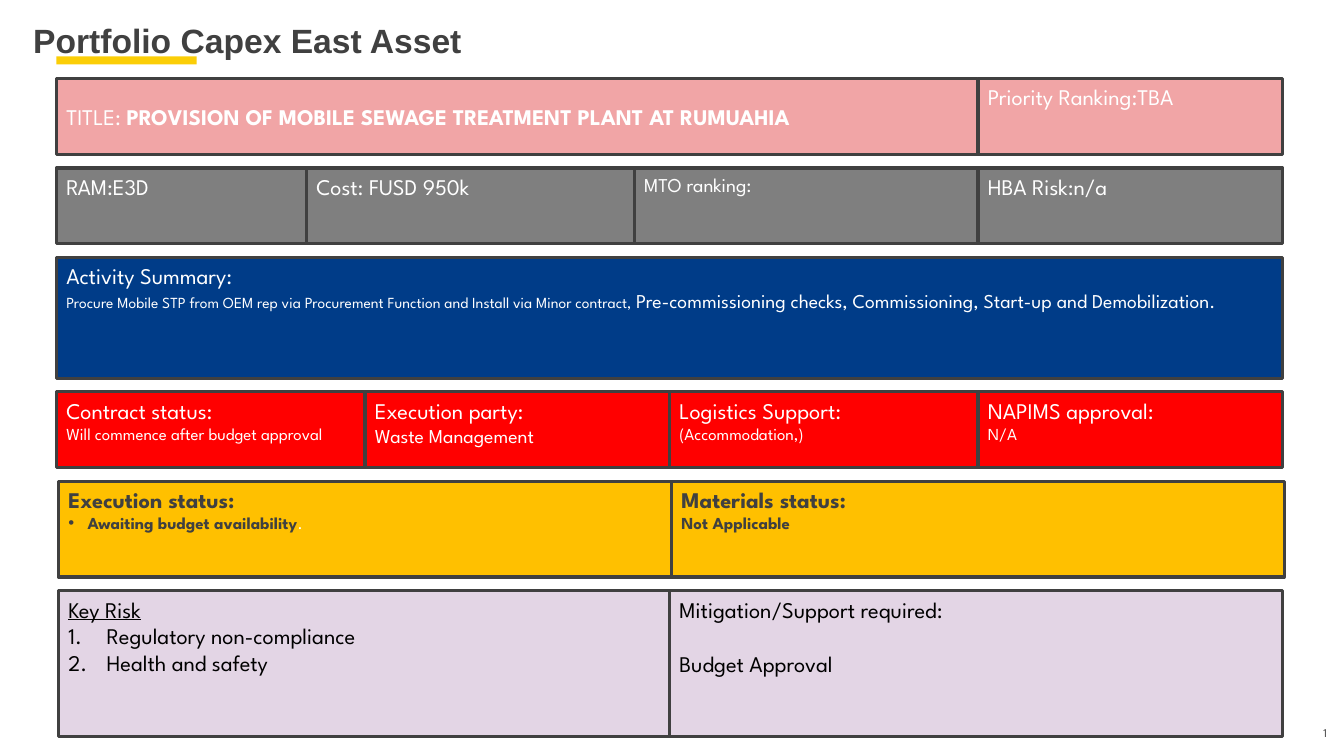
from pptx import Presentation
from pptx.dml.color import RGBColor
from pptx.enum.shapes import MSO_SHAPE
from pptx.enum.text import MSO_ANCHOR, PP_ALIGN
from pptx.util import Inches, Pt
from lxml.etree import SubElement
from pptx.oxml.ns import qn

COLORS = {
    "dark": "404040", "white": "FFFFFF", "black": "000000", "accent": "FBCE07",
    "pink": "F1A5A6", "grey": "7F7F7F", "blue": "003C88", "red": "FF0000",
    "amber": "FFC000", "lilac": "E3D5E5",
}
BODY_FONT = "League Spartan"
LEFT, RIGHT, MIDDLE, LAST = 0.56, 12.72, 6.64, 9.7
INSET = 0.02
TOP, BOTTOM = 0.78, 7.31


def rgb(name):
    return RGBColor.from_string(COLORS[name])


def run(text, size=16, **style):
    return dict(text=text, size=size, **style)


def para(*runs, **layout):
    return dict(runs=runs, **layout)


def heading(text, **style):
    return para(run(text, **style))


def add_bullet(p, kind, indent):
    pPr = p._p.get_or_add_pPr()
    pPr.set("marL", str(Inches(indent)))
    pPr.set("indent", str(-Inches(indent)))
    if kind == "number":
        SubElement(pPr, qn("a:buFont"), typeface="+mj-lt")
        SubElement(pPr, qn("a:buAutoNum"), type="arabicPeriod")
    else:
        SubElement(pPr, qn("a:buFont"), typeface="Arial")
        SubElement(pPr, qn("a:buChar"), char=kind)


def write(tf, paragraphs, color, bold=False, font=BODY_FONT, align=PP_ALIGN.LEFT):
    for i, item in enumerate(paragraphs):
        p = tf.paragraphs[0] if i == 0 else tf.add_paragraph()
        p.alignment = align
        if "before" in item:
            p.space_before = Pt(item["before"])
        if "bullet" in item:
            add_bullet(p, item["bullet"], item["indent"])
        for part in item["runs"]:
            r = p.add_run()
            r.text = part["text"]
            r.font.name = font
            r.font.size = Pt(part["size"])
            r.font.bold = part.get("bold", bold)
            r.font.underline = part.get("underline", False)
            r.font.color.rgb = rgb(part.get("color", color))


def add_box(slide, left, top, width, height, fill, outline=None):
    sp = slide.shapes.add_shape(MSO_SHAPE.RECTANGLE, Inches(left), Inches(top),
                                Inches(width), Inches(height))
    sp.shadow.inherit = False
    sp.fill.solid()
    sp.fill.fore_color.rgb = rgb(fill)
    if outline:
        sp.line.color.rgb = rgb(outline)
        sp.line.width = Pt(2.25)
    else:
        sp.line.fill.background()
    return sp


def add_label(slide, left, top, width, height, text, size, wrap=True, **style):
    tb = slide.shapes.add_textbox(Inches(left), Inches(top), Inches(width), Inches(height))
    tf = tb.text_frame
    tf.word_wrap = wrap
    tf.margin_left = tf.margin_top = tf.margin_right = tf.margin_bottom = 0
    write(tf, [heading(text, size=size)], "dark", **style)


def add_row(slide, top, height, fill, color, edges, cells, bold=False, middle=()):
    for i, (left, right, paragraphs) in enumerate(zip(edges, edges[1:], cells)):
        sp = add_box(slide, left, top, right - left, height, fill, "dark")
        tf = sp.text_frame
        tf.word_wrap = True
        tf.vertical_anchor = MSO_ANCHOR.MIDDLE if i in middle else MSO_ANCHOR.TOP
        write(tf, paragraphs, color, bold)


ROWS = [
    dict(height=0.75, fill="pink", color="white", edges=[LEFT, LAST, RIGHT], middle=[0], cells=[
        [para(run("TITLE: "),
              run("PROVISION OF MOBILE SEWAGE TREATMENT PLANT AT RUMUAHIA", bold=True))],
        [heading("Priority Ranking:TBA")],
    ]),
    dict(height=0.75, fill="grey", color="white", edges=[LEFT, 3.04, 6.29, LAST, RIGHT], cells=[
        [heading("RAM:E3D")],
        [heading("Cost: FUSD 950k")],
        [heading("MTO ranking:", size=14)],
        [heading("HBA Risk:n/a")],
    ]),
    dict(height=1.2, fill="blue", color="white", edges=[LEFT, RIGHT], cells=[
        [heading("Activity Summary:"),
         para(run("Procure Mobile STP from OEM rep via Procurement Function and "
                  "Install via Minor contract, ", 11),
              run("Pre-commissioning checks, Commissioning, Start-up and Demobilization.", 14))],
    ]),
    dict(height=0.75, fill="red", color="white", edges=[LEFT, 3.62, MIDDLE, LAST, RIGHT], cells=[
        [heading("Contract status:"), para(run("Will commence after budget approval", 12))],
        [heading("Execution party:"), para(run("Waste Management", 14))],
        [heading("Logistics Support:"), para(run("(Accommodation,)", 12))],
        [heading("NAPIMS approval:"), para(run("N/A", 12))],
    ]),
    dict(height=0.95, fill="amber", color="dark", bold=True,
         edges=[LEFT + INSET, MIDDLE + INSET, RIGHT + INSET], cells=[
        [heading("Execution status:"),
         para(run("Awaiting budget availability", 12),
              run(".", 12, color="white", bold=False), bullet="•", indent=0.19)],
        [heading("Materials status:"), para(run("Not Applicable", 12))],
    ]),
    dict(height=1.45, fill="lilac", color="black", edges=[LEFT + INSET, MIDDLE, RIGHT], cells=[
        [heading("Key Risk", underline=True),
         para(run("Regulatory non-compliance"), bullet="number", indent=0.38),
         para(run("Health and safety"), bullet="number", indent=0.38)],
        [heading("Mitigation/Support required:"), para(run("Budget Approval"), before=19.5)],
    ]),
]


def main():
    prs = Presentation()
    prs.slide_width, prs.slide_height = Inches(13.33), Inches(7.5)
    slide = prs.slides.add_slide(prs.slide_layouts[6])

    add_box(slide, LEFT, 0.56, 1.39, 0.08, "accent")
    add_label(slide, 0.33, 0.2, 12.9, 0.5, "Portfolio Capex East Asset", 24,
              font="Arial", bold=True)
    add_label(slide, 12.77, 7.2, 0.39, 0.26, "1", 8.5, align=PP_ALIGN.RIGHT)

    gap = (BOTTOM - TOP - sum(row["height"] for row in ROWS)) / (len(ROWS) - 1)
    top = TOP
    for row in ROWS:
        add_row(slide, top, **row)
        top += row["height"] + gap

    prs.save("out.pptx")


if __name__ == "__main__":
    main()
